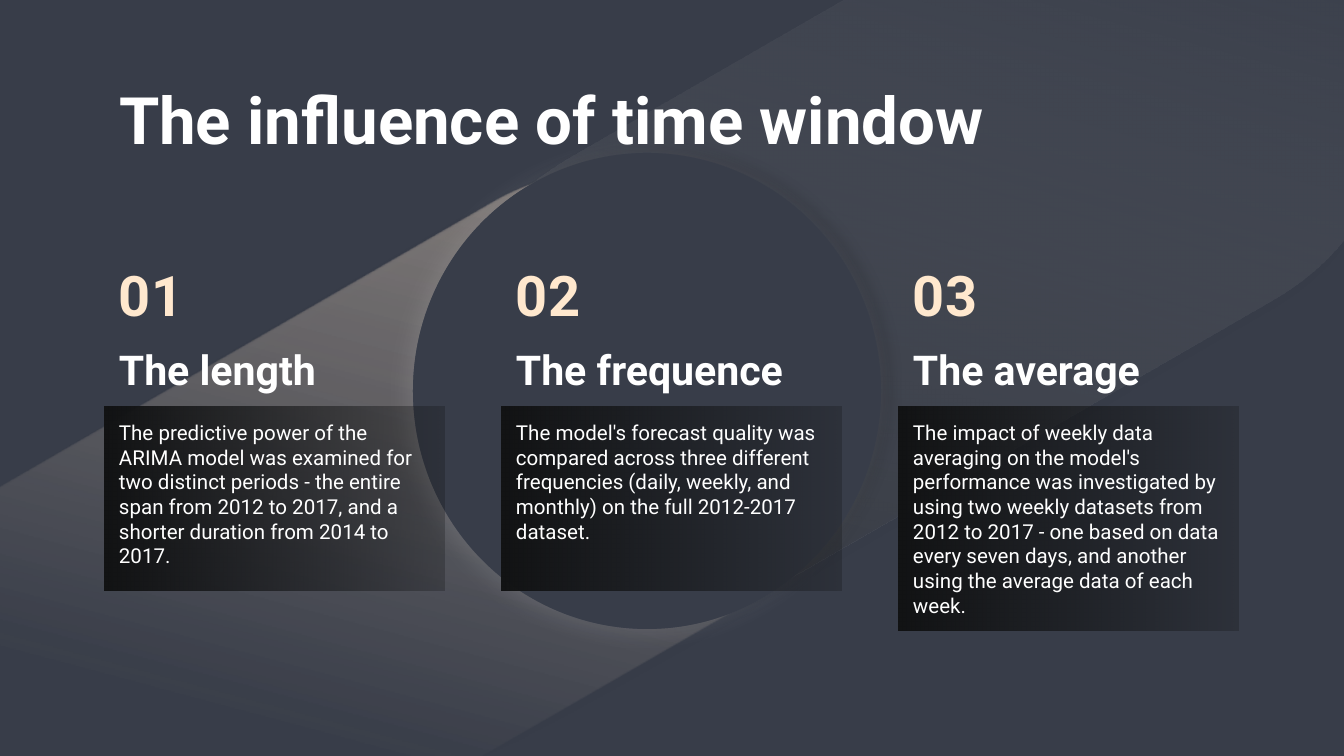
import pptx
import pptx.dml.color
import pptx.enum.shapes
import pptx.enum.text
import pptx.oxml
import pptx.oxml.ns
import pptx.util

TITLE = "The influence of time window"
TOPICS = [
    ("01", "The length", 184,
     "The predictive power of the ARIMA model was examined for two distinct periods - "
     "the entire span from 2012 to 2017, and a shorter duration from 2014 to 2017."),
    ("02", "The frequence", 184,
     "The model's forecast quality was compared across three different frequencies "
     "(daily, weekly, and monthly) on the full 2012-2017 dataset."),
    ("03", "The average", 224,
     "The impact of weekly data averaging on the model's performance was investigated by "
     "using two weekly datasets from 2012 to 2017 - one based on data every seven days, "
     "and another using the average data of each week."),
]
COLORS = {"slate": "383D49", "cream": "FFE8CE", "white": "FFFFFF",
          "ink": "121314", "black": "191919"}
FONT = "Roboto"

# Gradient stops: position %, colour, opacity %
CREAM_GLOW = [(0, "cream", 0), (39, "cream", 0), (100, "cream", 49)]
PALE_SHADE = [(0, "white", 0), (100, "black", 25)]
PANEL_FADE = [(0, "ink", 100), (100, "ink", 27)]

# Shadows: colour, opacity %, blur pt, distance pt, direction in degrees
BAND_SHADOW = ("ink", 10, 5.6, 4.5, 116)
DISC_SHADOW = ("ink", 13, 5.6, 6.8, 333)
DISC_GLOW = ("white", 10, 12.4, 3.8, 150)

SHAPES = pptx.enum.shapes.MSO_SHAPE
ANCHOR = pptx.enum.text.MSO_ANCHOR
DISC = (413, 153, 468, 476)
BACKDROP = [
    (SHAPES.ROUNDED_RECTANGLE, (-284, 347, 1180, 474), 150, (CREAM_GLOW, 135), BAND_SHADOW),
    (SHAPES.ROUNDED_RECTANGLE, (410, -8, 1021, 474), 150, (PALE_SHADE, 315), BAND_SHADOW),
    (SHAPES.OVAL, DISC, 180, None, DISC_SHADOW),
    (SHAPES.OVAL, DISC, 0, None, DISC_GLOW),
]

EMU_PER_PX = 914400 / 134.4
LEFT, PITCH, WIDTH = 105, 397, 340
NUMBER_TOP, HEADING_TOP, PANEL_TOP, LABEL_HEIGHT = 263, 329, 407, 78
INSET = 13


def px(length):
    return pptx.util.Emu(round(length * EMU_PER_PX))


def rgb(name):
    return pptx.dml.color.RGBColor.from_string(COLORS[name])


def color_xml(name, opacity):
    return (f'<a:srgbClr val="{COLORS[name]}">'
            f'<a:alpha val="{opacity * 1000}"/></a:srgbClr>')


def set_gradient(shape, stops, angle):
    """Fill with a linear gradient whose stops carry opacity."""
    shape.fill.background()
    stop_xml = "".join(f'<a:gs pos="{position * 1000}">{color_xml(name, opacity)}</a:gs>'
                       for position, name, opacity in stops)
    gradient = pptx.oxml.parse_xml(
        f'<a:gradFill {pptx.oxml.ns.nsdecls("a")} rotWithShape="1"><a:gsLst>{stop_xml}</a:gsLst>'
        f'<a:lin ang="{angle * 60000}" scaled="0"/></a:gradFill>')
    properties = shape._element.spPr
    properties.replace(properties.find(pptx.oxml.ns.qn("a:noFill")), gradient)


def set_shadow(shape, name, opacity, blur, distance, direction):
    shape.shadow.inherit = False
    effects = shape._element.spPr.find(pptx.oxml.ns.qn("a:effectLst"))
    effects.append(pptx.oxml.parse_xml(
        f'<a:outerShdw {pptx.oxml.ns.nsdecls("a")} blurRad="{pptx.util.Pt(blur)}" '
        f'dist="{pptx.util.Pt(distance)}" dir="{direction * 60000}" algn="bl" '
        f'rotWithShape="0">{color_xml(name, opacity)}</a:outerShdw>'))


def write(shape, text, size, color="white", bold=True, anchor=ANCHOR.TOP):
    frame = shape.text_frame
    frame.word_wrap = True
    frame.auto_size = pptx.enum.text.MSO_AUTO_SIZE.NONE
    frame.vertical_anchor = anchor
    frame.margin_left = frame.margin_right = px(INSET + 1)
    frame.margin_top = frame.margin_bottom = px(INSET)
    para = frame.paragraphs[0]
    para.alignment = pptx.enum.text.PP_ALIGN.LEFT
    span = para.add_run()
    span.text = text
    span.font.name = FONT
    span.font.size = pptx.util.Pt(size)
    span.font.bold = bold
    span.font.color.rgb = rgb(color)


def add_backdrop(page):
    for kind, place, rotation, gradient, shadow in BACKDROP:
        shape = page.shapes.add_shape(kind, *map(px, place))
        shape.rotation = rotation
        shape.line.fill.background()
        if gradient:
            shape.adjustments[0] = 0.5
            set_gradient(shape, *gradient)
        else:
            shape.fill.solid()
            shape.fill.fore_color.rgb = rgb("slate")
        set_shadow(shape, *shadow)


def add_title(page):
    title = page.shapes.title
    title.left, title.top, title.width, title.height = map(px, (LEFT, 66, 1133, 85))
    write(title, TITLE, 35)
    page.shapes._spTree.append(title._element)  # in front of the backdrop


def add_topic(page, left, number, heading, panel_height, body):
    for top, text, size, color in ((NUMBER_TOP, number, 30, "cream"),
                                   (HEADING_TOP, heading, 22, "white")):
        box = page.shapes.add_textbox(*map(px, (left, top, WIDTH, LABEL_HEIGHT)))
        write(box, text, size, color=color, anchor=ANCHOR.BOTTOM)
    panel = page.shapes.add_shape(
        SHAPES.RECTANGLE, *map(px, (left, PANEL_TOP, WIDTH, panel_height)))
    panel.shadow.inherit = False
    panel.line.fill.background()
    set_gradient(panel, PANEL_FADE, 0)
    write(panel, body, 11, bold=False)


def main():
    deck = pptx.Presentation()
    deck.slide_width, deck.slide_height = px(1344), px(756)
    page = deck.slides.add_slide(deck.slide_layouts[5])
    page.background.fill.solid()
    page.background.fill.fore_color.rgb = rgb("slate")
    add_backdrop(page)
    add_title(page)
    for column, topic in enumerate(TOPICS):
        add_topic(page, LEFT + column * PITCH, *topic)
    deck.save("out.pptx")


if __name__ == "__main__":
    main()
